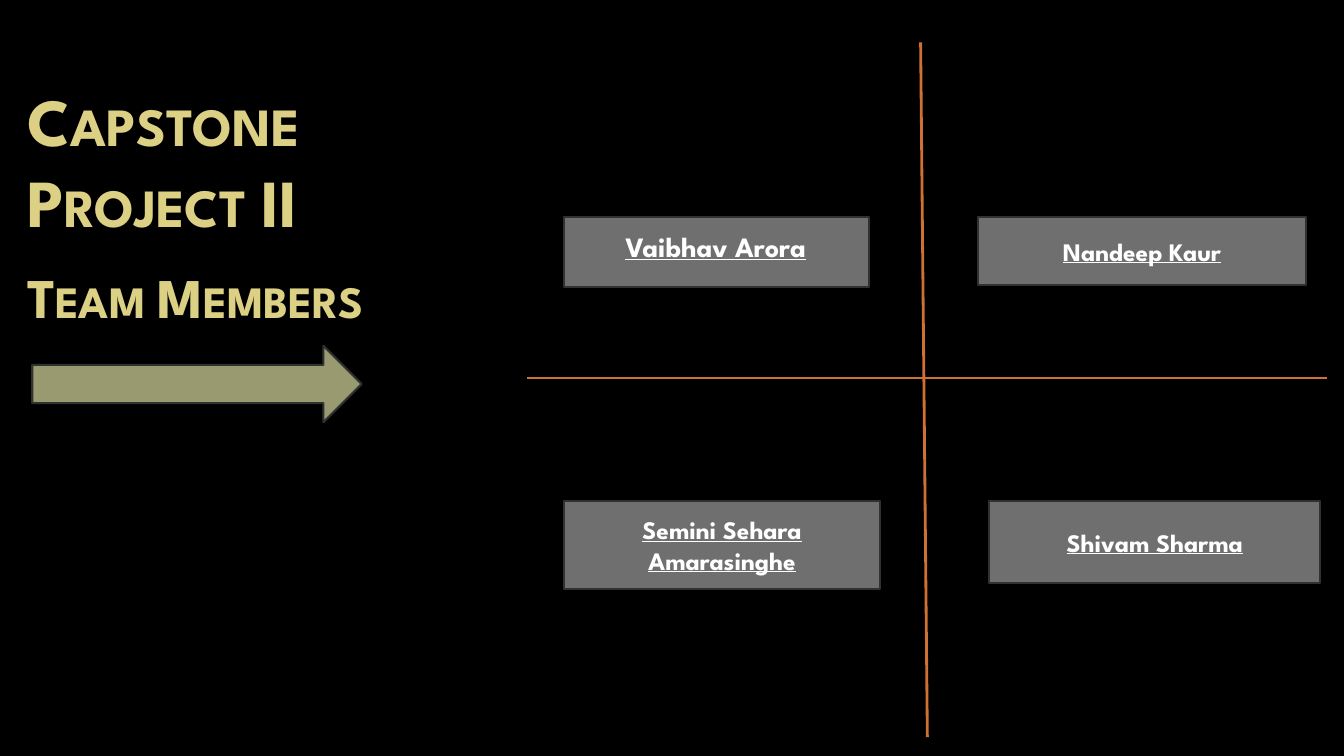
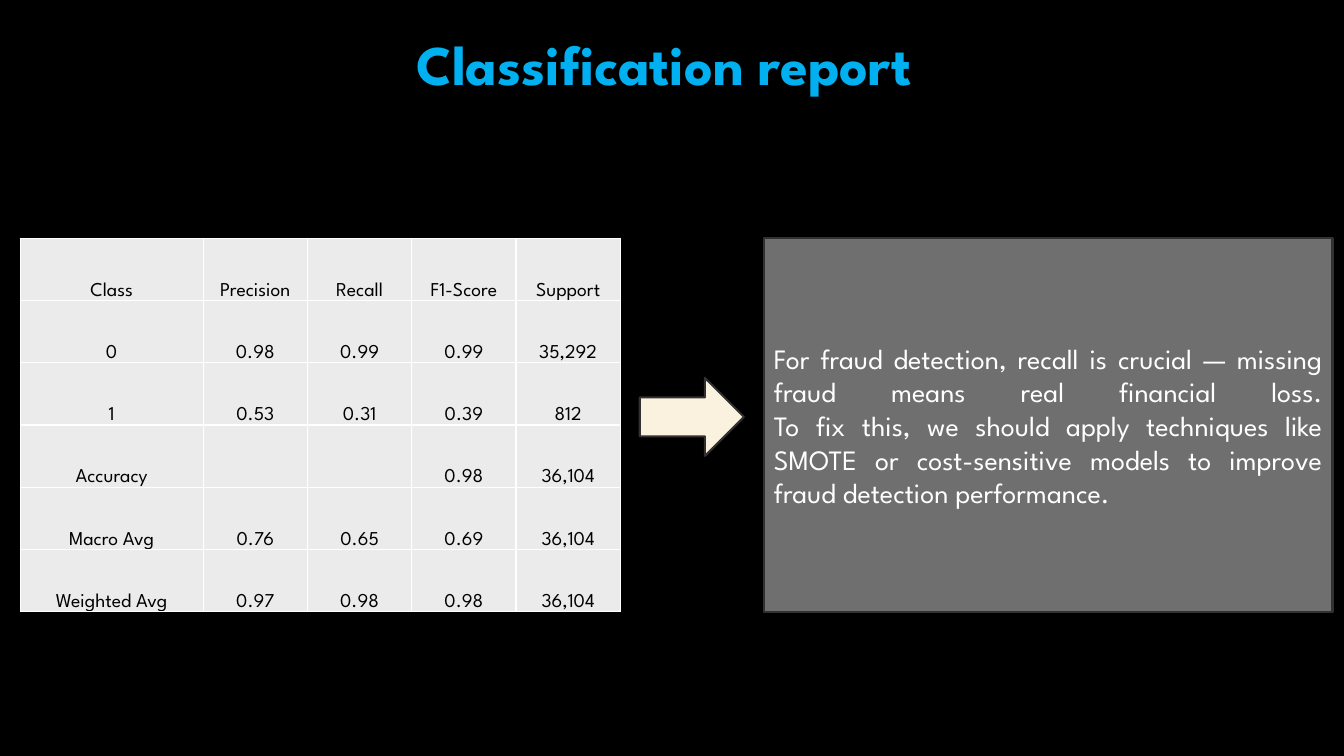
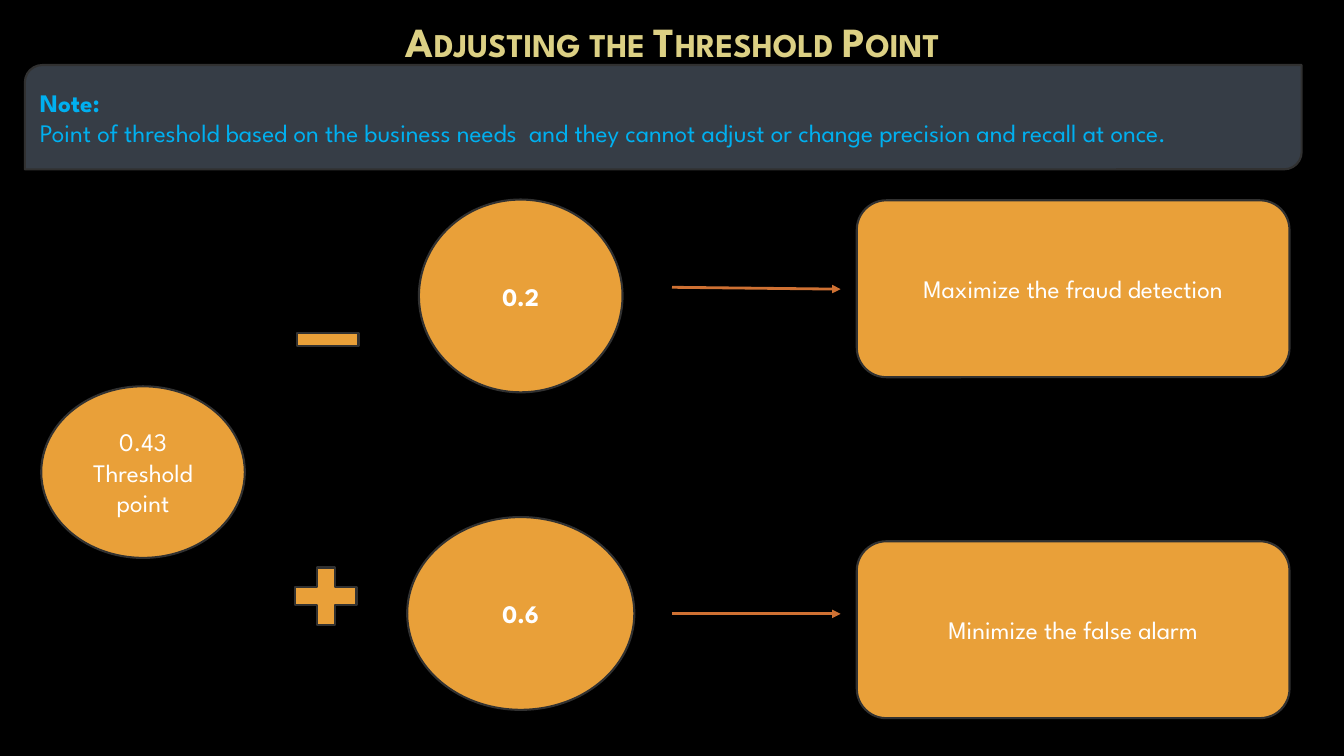
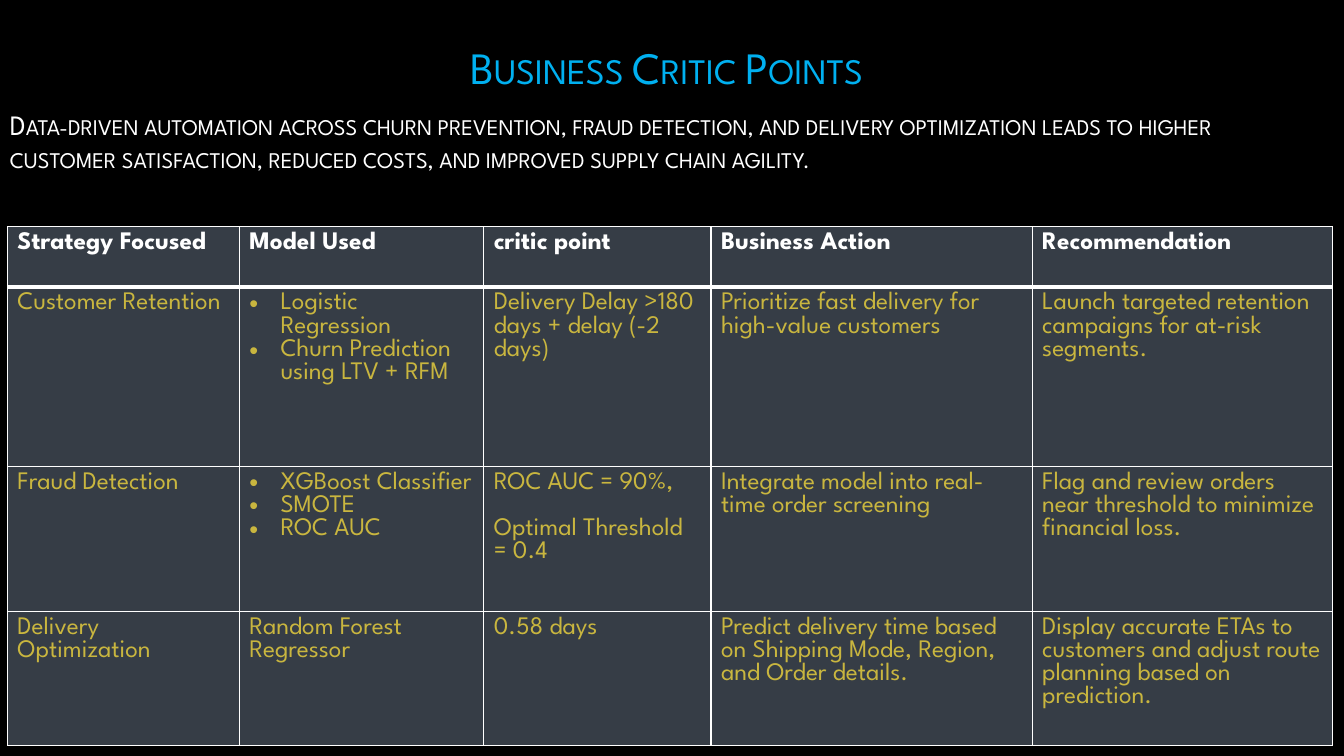
from dataclasses import dataclass, replace
from typing import Optional

from lxml.etree import SubElement
from pptx import Presentation
from pptx.dml.color import RGBColor
from pptx.enum.shapes import MSO_CONNECTOR, MSO_SHAPE as Shape
from pptx.enum.text import MSO_ANCHOR as Anchor, PP_ALIGN as Align
from pptx.oxml.ns import qn
from pptx.util import Inches, Pt

WIDTH, HEIGHT = Inches(13.33), Inches(7.5)
FONT = "League Spartan"

BLACK = RGBColor(0x00, 0x00, 0x00)
WHITE = RGBColor(0xFF, 0xFF, 0xFF)
SAND = RGBColor(0xDC, 0xD0, 0x84)
GOLD = RGBColor(0xC9, 0xB6, 0x3F)
SKY = RGBColor(0x00, 0xB0, 0xF0)
AMBER = RGBColor(0xE9, 0xA0, 0x39)
RUST = RGBColor(0xCF, 0x71, 0x33)
OLIVE = RGBColor(0x9A, 0x9A, 0x71)
CREAM = RGBColor(0xFA, 0xF2, 0xDF)
GRAY = RGBColor(0x6F, 0x6F, 0x6F)
SLATE = RGBColor(0x36, 0x3D, 0x46)
PALE = RGBColor(0xEB, 0xEB, 0xEB)
OUTLINE = RGBColor(0x31, 0x31, 0x31)


@dataclass(frozen=True)
class Style:
    size: float = 18
    color: RGBColor = WHITE
    bold: bool = False
    underline: bool = False
    small_caps: bool = False
    align: Align = Align.CENTER
    before: float = 0
    after: float = 0
    bullet: Optional[str] = None


LABEL = Style()
STRONG = Style(bold=True)
NAME = Style(bold=True, underline=True)
HEADING = Style(48, SAND, bold=True, small_caps=True, align=Align.LEFT, after=6)
REPORT_CELL = Style(14, BLACK)
PLAN_CELL = Style(color=GOLD, align=Align.LEFT)
PLAN_HEADER = replace(PLAN_CELL, color=WHITE, bold=True)
PLAN_BULLET = replace(PLAN_CELL, bullet="•")


def across(share):
    """Length of a percentage of the slide's width."""
    return round(WIDTH * share / 100)


def down(share):
    """Length of a percentage of the slide's height."""
    return round(HEIGHT * share / 100)


def place(box):
    left, top, width, height = box
    return across(left), down(top), across(width), down(height)


def add_run(paragraph, text, style):
    run = paragraph.add_run()
    run.text = text
    font = run.font
    font.name, font.size = FONT, Pt(style.size)
    font.bold, font.underline = style.bold, style.underline
    font.color.rgb = style.color
    if style.small_caps:
        run._r.get_or_add_rPr().set("cap", "small")


def add_bullet(paragraph, character):
    properties = paragraph._p.get_or_add_pPr()
    properties.set("marL", str(Inches(0.31)))
    properties.set("indent", str(-Inches(0.31)))
    SubElement(properties, qn("a:buFont")).set("typeface", "Arial")
    SubElement(properties, qn("a:buChar")).set("char", character)


def write(frame, paragraphs):
    """Fill a text frame from (text, style) pairs; a newline is a line break."""
    for index, (text, style) in enumerate(paragraphs):
        paragraph = frame.add_paragraph() if index else frame.paragraphs[0]
        if style.bullet:
            add_bullet(paragraph, style.bullet)
        paragraph.alignment = style.align
        paragraph.space_before = Pt(style.before if index else 0)
        paragraph.space_after = Pt(style.after)
        for number, line in enumerate(text.split("\n")):
            if number:
                paragraph.add_line_break()
            add_run(paragraph, line, style)


def add_text(slide, box, *paragraphs, anchor=Anchor.MIDDLE):
    frame = slide.shapes.add_textbox(*place(box)).text_frame
    frame.word_wrap = True
    frame.vertical_anchor = anchor
    write(frame, paragraphs)


def add_figure(slide, kind, box, fill, *paragraphs):
    shape = slide.shapes.add_shape(kind, *place(box))
    shape.shadow.inherit = False
    shape.fill.solid()
    shape.fill.fore_color.rgb = fill
    shape.line.color.rgb = OUTLINE
    shape.line.width = Pt(1.5)
    shape.text_frame.word_wrap = True
    shape.text_frame.vertical_anchor = Anchor.MIDDLE
    write(shape.text_frame, paragraphs)


def add_line(slide, start, end, arrow=False):
    line = slide.shapes.add_connector(
        MSO_CONNECTOR.STRAIGHT,
        across(start[0]), down(start[1]), across(end[0]), down(end[1]))
    line.line.color.rgb = RUST
    line.line.width = Pt(2)
    if arrow:
        SubElement(line.line._get_or_add_ln(), qn("a:tailEnd")).set("type", "triangle")
    SubElement(line._element.spPr, qn("a:effectLst"))


def add_borders(cell, top=1, bottom=1):
    properties = cell._tc.get_or_add_tcPr()
    for side, width in zip("LRTB", (1, 1, top, bottom)):
        border = SubElement(properties, qn(f"a:ln{side}"))
        border.set("w", str(Pt(width)))
        fill = SubElement(border, qn("a:solidFill"))
        SubElement(fill, qn("a:srgbClr")).set("val", str(WHITE))


def add_table(slide, corner, columns, rows, fill, contents, header_rule=1):
    """Add a table whose contents hold a list of (text, style) pairs per cell."""
    box = (*corner, sum(columns), sum(rows))
    table = slide.shapes.add_table(len(rows), len(columns), *place(box)).table
    table.first_row = table.horz_banding = False
    for column, width in zip(table.columns, columns):
        column.width = across(width)
    for row, height in zip(table.rows, rows):
        row.height = down(height)
    for row_index, row in enumerate(contents):
        for column_index, paragraphs in enumerate(row):
            cell = table.cell(row_index, column_index)
            add_borders(cell,
                        top=header_rule if row_index == 1 else 1,
                        bottom=header_rule if row_index == 0 else 1)
            cell.fill.solid()
            cell.fill.fore_color.rgb = fill
            write(cell.text_frame, paragraphs)
    return table


def build_team(slide):
    add_text(slide, (1.3, 3.1, 36.7, 47.9),
             ("Capstone Project II", HEADING),
             ("Team Members", replace(HEADING, size=40, before=9)))
    add_line(slide, (68.5, 5.6), (69, 97.5))
    add_line(slide, (39.2, 50), (98.7, 50))
    add_figure(slide, Shape.RECTANGLE, (41.95, 28.7, 22.7, 9.3), GRAY)
    members = [
        ("Nandeep Kaur", (72.8, 28.7, 24.35, 9)),
        ("Semini Sehara Amarasinghe", (41.95, 66.3, 23.55, 11.6)),
        ("Shivam Sharma", (73.6, 66.3, 24.65, 10.8)),
    ]
    for member, box in members:
        add_figure(slide, Shape.RECTANGLE, box, GRAY, (member, NAME))
    add_text(slide, (41.95, 29.7, 22.6, 5.9),
             ("Vaibhav Arora", replace(NAME, size=20)), anchor=Anchor.TOP)
    add_figure(slide, Shape.RIGHT_ARROW, (2.4, 45.75, 24.5, 10.1), OLIVE)


def build_report(slide):
    scores = [
        ("Class", "Precision", "Recall", "F1-Score", "Support"),
        ("0", "0.98", "0.99", "0.99", "35,292"),
        ("1", "0.53", "0.31", "0.39", "812"),
        ("Accuracy", "", "", "0.98", "36,104"),
        ("Macro Avg", "0.76", "0.65", "0.69", "36,104"),
        ("Weighted Avg", "0.97", "0.98", "0.98", "36,104"),
    ]
    contents = [[[(text, REPORT_CELL)] if text else [] for text in row]
                for row in scores]
    table = add_table(slide, (1.5, 31.5), [13.62] + [7.76] * 4,
                      [8.24] * len(scores), PALE, contents)
    for cell in table.iter_cells():
        cell.vertical_anchor = Anchor.BOTTOM
        cell.margin_left = cell.margin_right = cell.margin_top = Inches(0.01)
        cell.margin_bottom = 0
    add_figure(slide, Shape.RECTANGLE, (56.85, 31.5, 42.3, 49.5), GRAY,
               ("For fraud detection, recall is crucial — missing fraud means real "
                "financial loss.\nTo fix this, we should apply techniques like SMOTE or "
                "cost-sensitive models to improve fraud detection performance.",
                Style(20, align=Align.JUSTIFY)))
    add_text(slide, (23.25, 3.2, 52.3, 10.3),
             ("Classification report", Style(40, SKY, bold=True)), anchor=Anchor.TOP)
    add_figure(slide, Shape.RIGHT_ARROW, (47.6, 50, 7.75, 10.3), CREAM)


def build_threshold(slide):
    add_text(slide, (9.5, 1.6, 81.1, 7.6),
             ("Adjusting the Threshold Point",
              replace(HEADING, size=29.6, align=Align.CENTER)))
    figures = [
        (Shape.OVAL, (31.17, 26.4, 15.15, 25.5), ("0.2", STRONG)),
        (Shape.OVAL, (30.3, 68.4, 16.9, 25.5), ("0.6", STRONG)),
        (Shape.OVAL, (3.07, 51.1, 15.15, 22.7), ("0.43\nThreshold point", LABEL)),
        (Shape.ROUNDED_RECTANGLE, (63.75, 26.5, 32.2, 23.4),
         ("Maximize the fraud detection", LABEL)),
        (Shape.ROUNDED_RECTANGLE, (63.75, 71.6, 32.2, 23.4),
         ("Minimize the false alarm", LABEL)),
        (Shape.MATH_PLUS, (21.15, 73.7, 6.2, 10.3)),
        (Shape.MATH_MINUS, (21.3, 41.1, 6.2, 7.6)),
    ]
    for kind, box, *paragraphs in figures:
        add_figure(slide, kind, box, AMBER, *paragraphs)
    add_line(slide, (50, 38), (62.55, 38.25), arrow=True)
    add_line(slide, (50, 81.2), (62.55, 81.2), arrow=True)
    note = Style(color=SKY, align=Align.LEFT)
    add_figure(slide, Shape.ROUND_2_DIAG_RECTANGLE, (1.85, 8.6, 95, 13.8), SLATE,
               ("Note:", replace(note, bold=True)),
               ("Point of threshold based on the business needs  and they cannot "
                "adjust or change precision and recall at once.", note))


def build_business(slide):
    add_text(slide, (0, 0.5, 99.2, 27.3),
             ("Business Critic Points", Style(32, SKY, small_caps=True, after=6)),
             ("Data-driven automation across churn prevention, fraud detection, and "
              "delivery optimization leads to higher customer satisfaction, reduced "
              "costs, and improved supply chain agility.",
              Style(20, small_caps=True, align=Align.LEFT, before=4, after=6)))
    headers = ("Strategy Focused", "Model Used", "critic point",
               "Business Action", "Recommendation")

    def plain(text):
        return [(text, PLAN_CELL)]

    def bullets(*items):
        return [(item, PLAN_BULLET) for item in items]

    contents = [
        [[(header, PLAN_HEADER)] for header in headers],
        [plain("Customer Retention"),
         bullets("Logistic Regression", "Churn Prediction using LTV + RFM"),
         plain("Delivery Delay >180 days + delay (-2 days)"),
         plain("Prioritize fast delivery for high-value customers"),
         plain("Launch targeted retention campaigns for at-risk segments.")],
        [plain("Fraud Detection"),
         bullets("XGBoost Classifier", "SMOTE", "ROC AUC"),
         [("ROC AUC = 90%,", PLAN_CELL),
          ("Optimal Threshold = 0.4", replace(PLAN_CELL, before=16.5))],
         plain("Integrate model into real-time order screening"),
         plain("Flag and review orders near threshold to minimize financial loss.")],
        [plain("Delivery Optimization"),
         plain("Random Forest Regressor"),
         plain("0.58 days"),
         plain("Predict delivery time based on Shipping Mode, Region, and Order details."),
         plain("Display accurate ETAs to customers and adjust route planning based on "
               "prediction.")],
    ]
    add_table(slide, (0.55, 30), [17.25, 18.2, 16.9, 23.9, 22.35],
              [8, 23.7, 19.2, 17.7], SLATE, contents, header_rule=3)


def main():
    presentation = Presentation()
    presentation.slide_width, presentation.slide_height = WIDTH, HEIGHT
    background = presentation.slide_master.background.fill
    background.solid()
    background.fore_color.rgb = BLACK
    blank = presentation.slide_layouts[6]
    for build in (build_team, build_report, build_threshold, build_business):
        build(presentation.slides.add_slide(blank))
    presentation.save("out.pptx")


if __name__ == "__main__":
    main()
